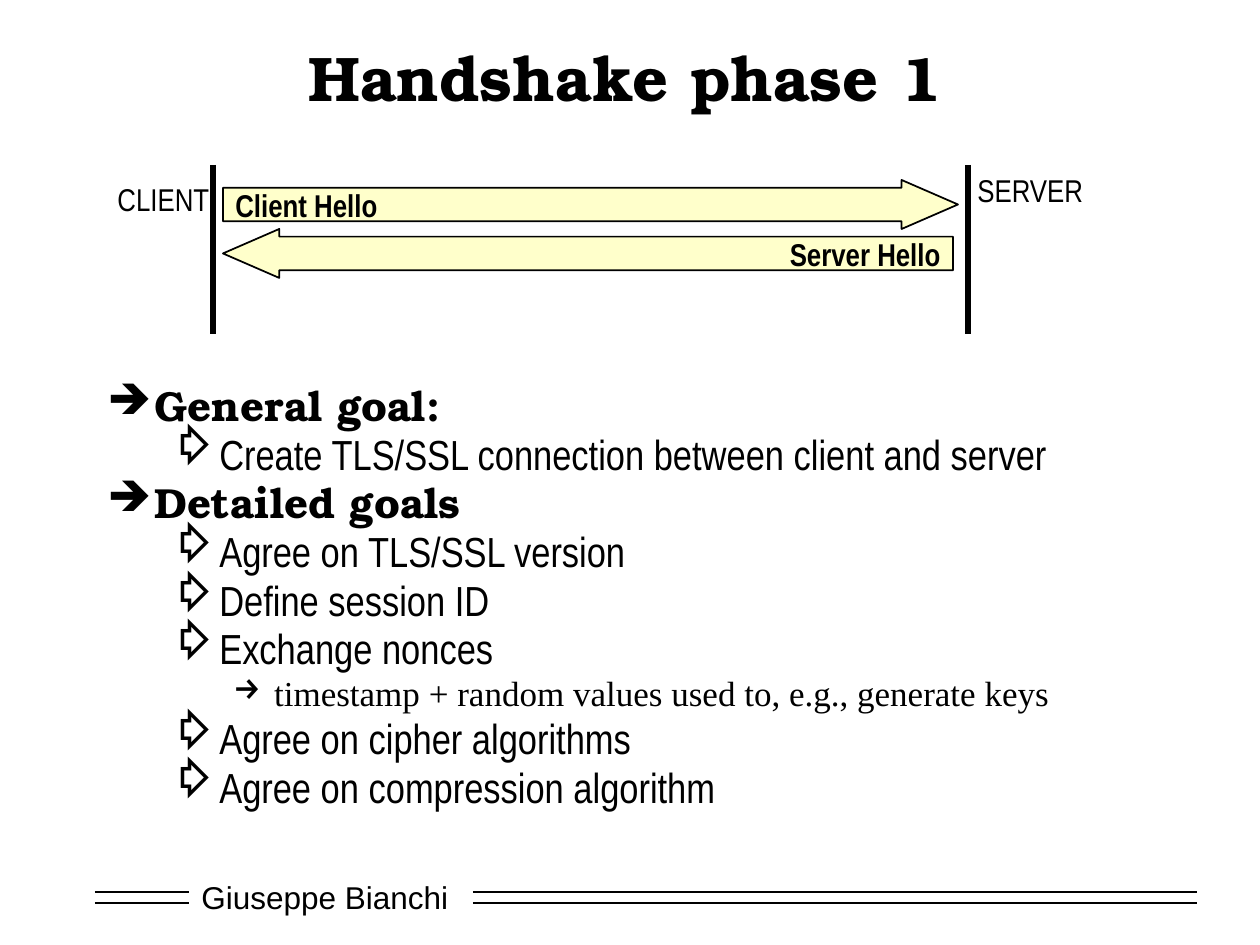
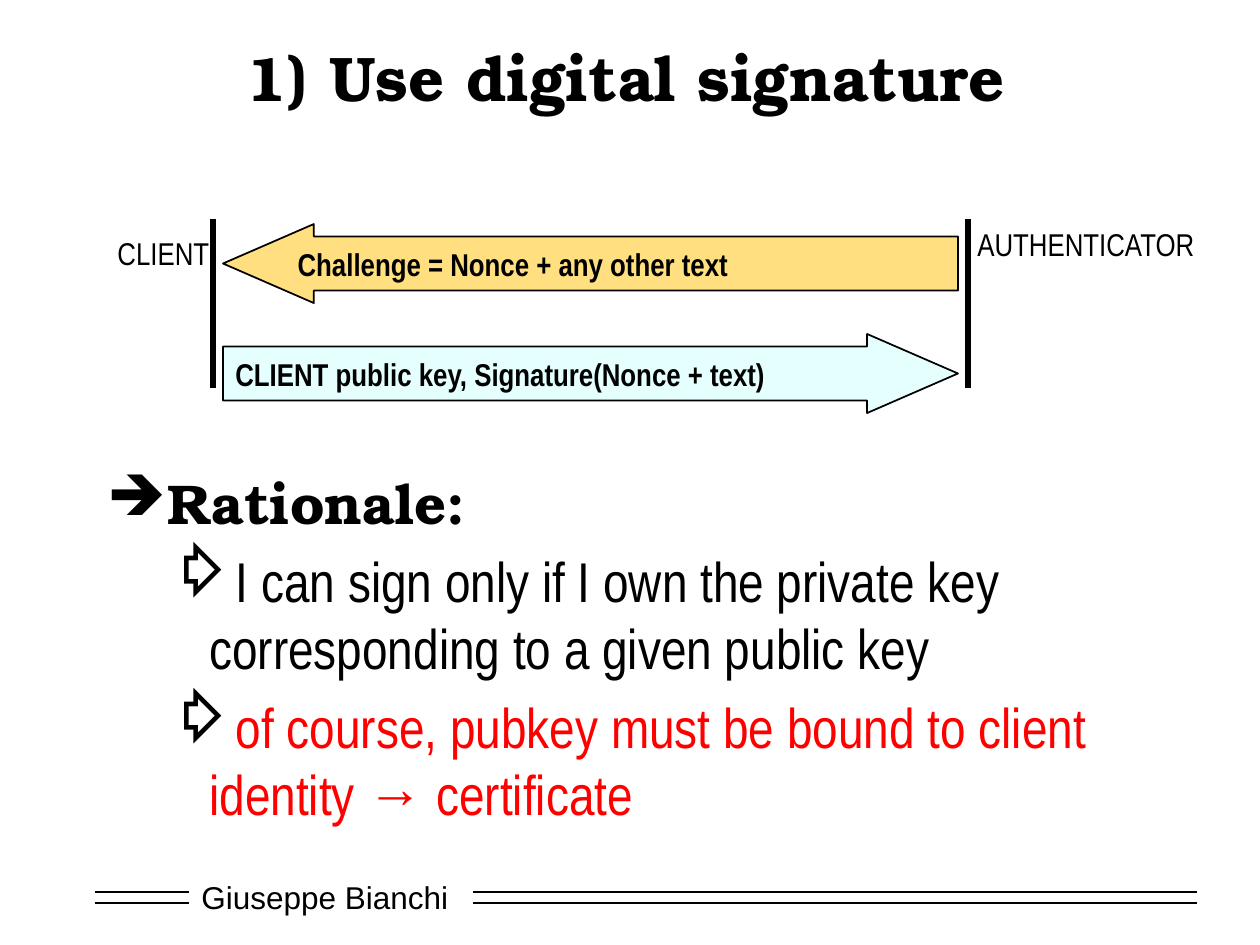
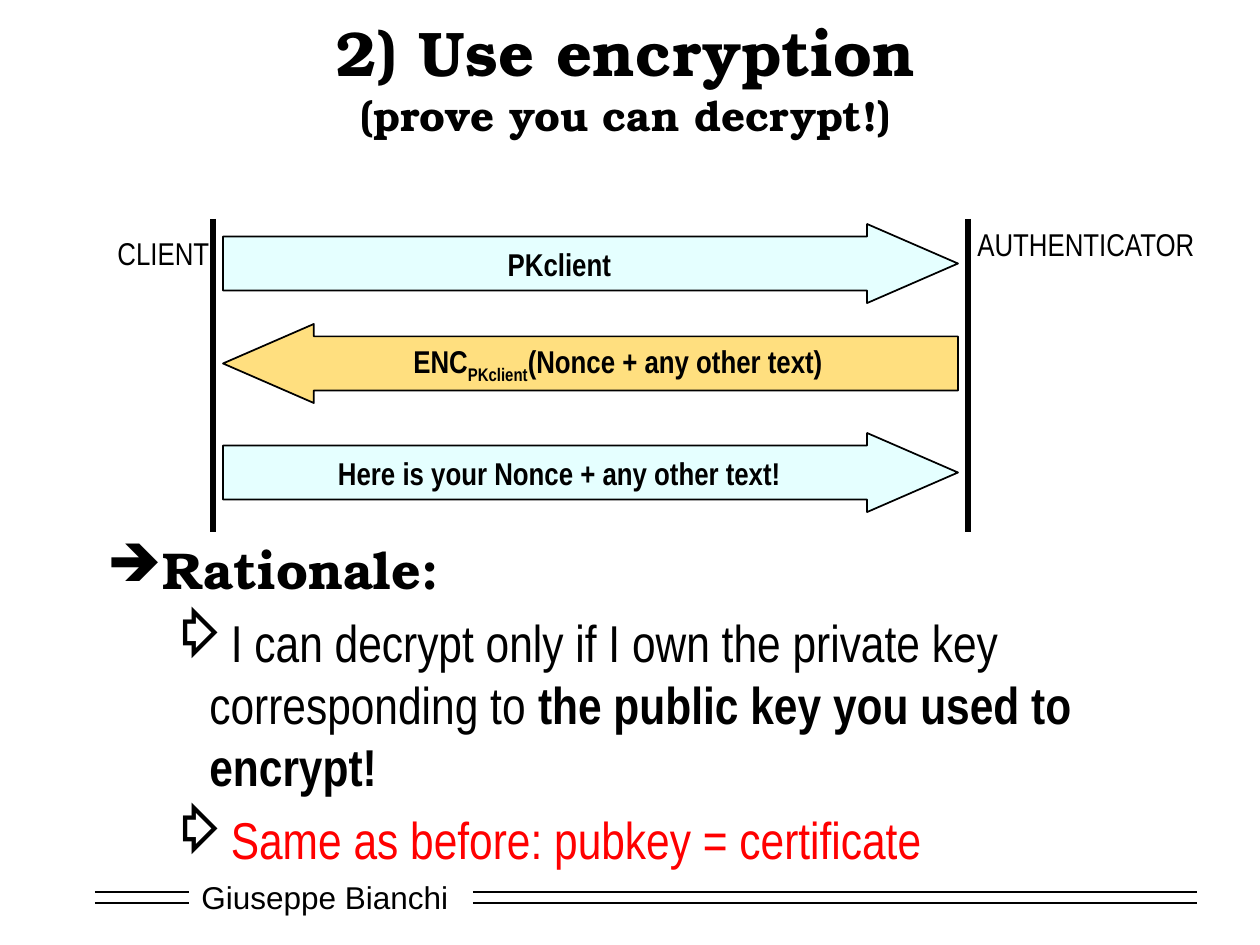
from dataclasses import dataclass

from lxml.etree import SubElement
from pptx import Presentation
from pptx.dml.color import RGBColor
from pptx.enum.shapes import MSO_CONNECTOR, MSO_SHAPE
from pptx.enum.text import MSO_ANCHOR, PP_ALIGN
from pptx.oxml.ns import qn
from pptx.util import Emu, Pt


@dataclass(frozen=True)
class Theme:
    black: str = "000000"
    white: str = "FFFFFF"
    red: str = "FF0000"
    yellow: str = "FFFF99"
    orange: str = "FFC000"
    cyan: str = "CCFFFF"
    heading_font: str = "TeX Gyre Bonum"
    body_font: str = "Arial Narrow"
    note_font: str = "Times New Roman"
    footer_font: str = "Arial"
    title_size: float = 36
    subtitle_size: float = 24
    label_size: float = 18
    small_body: float = 24
    note_size: float = 20
    medium_body: float = 29.6
    large_body: float = 32


THEME = Theme()
PIXELS_PER_INCH = 126
CONTENT_LEFT, CONTENT_WIDTH = 95, 1061
CLIENT_LINE, SERVER_LINE = 213, 968
ARROW_LEFT, ARROW_WIDTH = 223, 735

# Bullet levels: character, left margin, hanging indent, font, bold
LEVELS = [
    ("➔", 47, 47, THEME.heading_font, True),
    ("⇨", 102, 39, THEME.body_font, False),
    ("→", 158, 32, THEME.note_font, False),
]


def px(length):
    return Emu(round(length * 914400 / PIXELS_PER_INCH))


def color(value):
    return RGBColor.from_string(value)


# Text
def set_font(font, name, size, bold=False):
    font.name = name
    font.size = Pt(size)
    font.bold = bold
    font.color.rgb = color(THEME.black)


def add_textbox(slide, left, top, width, height, wrap=True):
    box = slide.shapes.add_textbox(px(left), px(top), px(width), px(height))
    box.text_frame.word_wrap = wrap
    return box.text_frame


def add_title(slide, title, subtitle=None):
    frame = add_textbox(slide, CONTENT_LEFT, 32, CONTENT_WIDTH, 89)
    frame.vertical_anchor = MSO_ANCHOR.MIDDLE
    paragraph = frame.paragraphs[0]
    paragraph.alignment = PP_ALIGN.CENTER
    set_font(paragraph.font, THEME.heading_font, THEME.title_size, True)
    paragraph.add_run().text = title
    if subtitle:
        paragraph.add_line_break()
        run = paragraph.add_run()
        run.text = subtitle
        run.font.size = Pt(THEME.subtitle_size)


def add_label(slide, left, top, width, text):
    frame = add_textbox(slide, left, top, width, 50, wrap=False)
    paragraph = frame.paragraphs[0]
    paragraph.text = text
    set_font(paragraph.font, THEME.body_font, THEME.label_size)


def set_bullet(paragraph, character, margin, hanging):
    properties = paragraph._p.get_or_add_pPr()
    properties.set("marL", str(px(margin)))
    properties.set("indent", str(-px(hanging)))
    space_before = SubElement(properties, qn("a:spcBef"))
    SubElement(space_before, qn("a:spcPct"), val="20000")
    bullet_color = SubElement(properties, qn("a:buClr"))
    SubElement(bullet_color, qn("a:srgbClr"), val=THEME.black)
    SubElement(properties, qn("a:buChar"), char=character)


def add_bullets(slide, top, height, size, items, line_spacing=1.0):
    """Each item is (level, text) plus optional run style: colour or bold tail."""
    frame = add_textbox(slide, CONTENT_LEFT, top, CONTENT_WIDTH, height)
    for index, (level, text, *style) in enumerate(items):
        paragraph = frame.add_paragraph() if index else frame.paragraphs[0]
        character, margin, hanging, font_name, bold = LEVELS[level]
        paragraph.level = level
        paragraph.line_spacing = line_spacing
        set_bullet(paragraph, character, margin, hanging)
        set_font(paragraph.font, font_name,
                 THEME.note_size if level == 2 else size, bold)
        paragraph.add_run().text = text
        options = style[0] if style else {}
        if "color" in options:
            paragraph.font.color.rgb = color(options["color"])
        if "bold_tail" in options:
            run = paragraph.add_run()
            run.text = options["bold_tail"]
            run.font.bold = True


# Lines and arrows
def add_line(slide, x1, y1, x2, y2, weight):
    line = slide.shapes.add_connector(
        MSO_CONNECTOR.STRAIGHT, px(x1), px(y1), px(x2), px(y2))
    line.line.color.rgb = color(THEME.black)
    line.line.width = Pt(weight)
    SubElement(line._element.spPr, qn("a:effectLst"))


def add_message(slide, direction, top, height, fill, text,
                alignment=PP_ALIGN.LEFT, width=ARROW_WIDTH):
    """Block arrow with a half-transparent fill; text is a string or (text, baseline) runs."""
    arrow = slide.shapes.add_shape(
        direction, px(ARROW_LEFT), px(top), px(width), px(height))
    arrow.adjustments[0] = 0.685
    arrow.adjustments[1] = 1.15
    arrow.shadow.inherit = False
    arrow.fill.solid()
    arrow.fill.fore_color.rgb = color(fill)
    fill_color = arrow._element.spPr.find(qn("a:solidFill"))[0]
    SubElement(fill_color, qn("a:alpha"), val="50000")
    arrow.line.color.rgb = color(THEME.black)
    arrow.line.width = Pt(1)

    frame = arrow.text_frame
    frame.word_wrap = False
    frame.vertical_anchor = MSO_ANCHOR.MIDDLE
    paragraph = frame.paragraphs[0]
    paragraph.alignment = alignment
    set_font(paragraph.font, THEME.body_font, THEME.label_size, True)
    for part, baseline in [(text, 0)] if isinstance(text, str) else text:
        run = paragraph.add_run()
        run.text = part
        # Explicit colour wins over the white of the shape style
        run.font.color.rgb = color(THEME.black)
        if baseline:
            run.font._element.set("baseline", str(baseline))


def add_lifelines(slide, top, bottom, peer, peer_width):
    add_label(slide, 105, top + 9, 117, "CLIENT")
    add_label(slide, 965, top, peer_width, peer)
    for x in (CLIENT_LINE, SERVER_LINE):
        add_line(slide, x, top, x, bottom, 3)


# Shared slide frame
def add_footer(slide):
    frame = add_textbox(slide, 189, 872, 273, 50)
    frame.vertical_anchor = MSO_ANCHOR.MIDDLE
    paragraph = frame.paragraphs[0]
    paragraph.text = "Giuseppe Bianchi"
    set_font(paragraph.font, THEME.footer_font, THEME.label_size)
    for y in (892, 903):
        for start, end in ((95, 189), (473, 1197)):
            add_line(slide, start, y, end, y, 1)


def new_slide(presentation, title, subtitle=None):
    slide = presentation.slides.add_slide(presentation.slide_layouts[6])
    slide.background.fill.solid()
    slide.background.fill.fore_color.rgb = color(THEME.white)
    add_footer(slide)
    add_title(slide, title, subtitle)
    return slide


# Slides
def build_handshake(presentation):
    slide = new_slide(presentation, "Handshake phase 1")
    add_bullets(slide, 383, 456, THEME.small_body, [
        (0, "General goal:"),
        (1, "Create TLS/SSL connection between client and server"),
        (0, "Detailed goals"),
        (1, "Agree on TLS/SSL version"),
        (1, "Define session ID"),
        (1, "Exchange nonces"),
        (2, " timestamp + random values used to, e.g., generate keys"),
        (1, "Agree on cipher algorithms"),
        (1, "Agree on compression algorithm"),
    ], line_spacing=0.8)
    add_message(slide, MSO_SHAPE.LEFT_ARROW, 229, 49, THEME.yellow,
                "Server Hello", PP_ALIGN.RIGHT, width=730)
    add_message(slide, MSO_SHAPE.RIGHT_ARROW, 180, 49, THEME.yellow,
                "Client Hello")
    add_lifelines(slide, 165, 334, "SERVER", 132)


def build_signature(presentation):
    slide = new_slide(presentation, "1) Use digital signature")
    add_lifelines(slide, 219, 388, "AUTHENTICATOR", 244)
    add_message(slide, MSO_SHAPE.LEFT_ARROW, 224, 79, THEME.orange,
                "Challenge = Nonce + any other text")
    add_message(slide, MSO_SHAPE.RIGHT_ARROW, 334, 79, THEME.cyan,
                "CLIENT public key, Signature(Nonce + text)")
    add_bullets(slide, 462, 377, THEME.large_body, [
        (0, "Rationale:"),
        (1, "I can sign only if I own the private key corresponding to a given public key"),
        (1, "of course, pubkey must be bound to client identity → certificate",
         {"color": THEME.red}),
    ])


def build_encryption(presentation):
    slide = new_slide(presentation, "2) Use encryption", "(prove you can decrypt!)")
    add_lifelines(slide, 219, 532, "AUTHENTICATOR", 244)
    encrypted = [("ENC", 0), ("PKclient", -25000), ("(Nonce + any other text) ", 0)]
    for direction, top, fill, text in (
        (MSO_SHAPE.LEFT_ARROW, 324, THEME.orange, encrypted),
        (MSO_SHAPE.RIGHT_ARROW, 433, THEME.cyan, "Here is your Nonce + any other text!"),
        (MSO_SHAPE.RIGHT_ARROW, 224, THEME.cyan, "PKclient"),
    ):
        add_message(slide, direction, top, 79, fill, text, PP_ALIGN.CENTER)
    add_bullets(slide, 532, 307, THEME.medium_body, [
        (0, "Rationale:"),
        (1, "I can decrypt only if I own the private key corresponding to ",
         {"bold_tail": "the public key you used to encrypt!"}),
        (1, "Same as before: pubkey = certificate", {"color": THEME.red}),
    ])


def main():
    presentation = Presentation()
    presentation.slide_width = px(1260)
    presentation.slide_height = px(945)
    build_handshake(presentation)
    build_signature(presentation)
    build_encryption(presentation)
    presentation.save("out.pptx")


if __name__ == "__main__":
    main()
